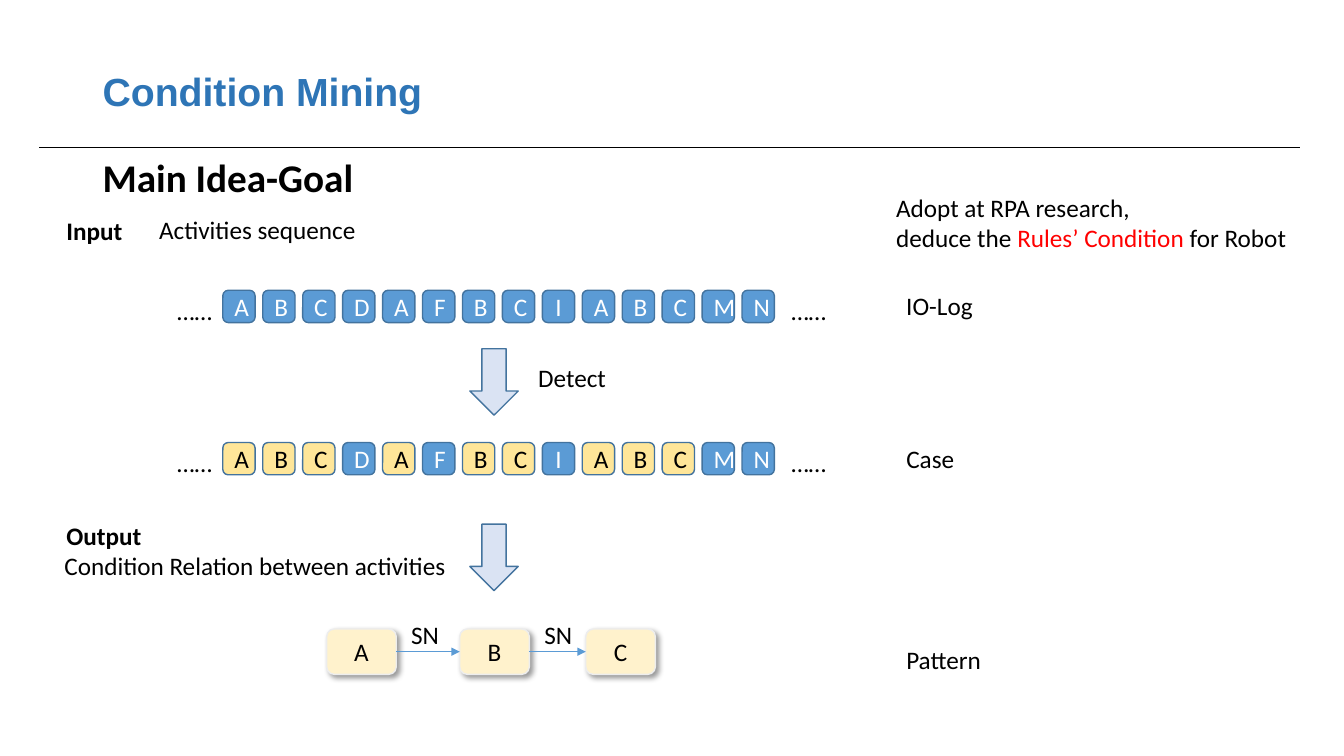
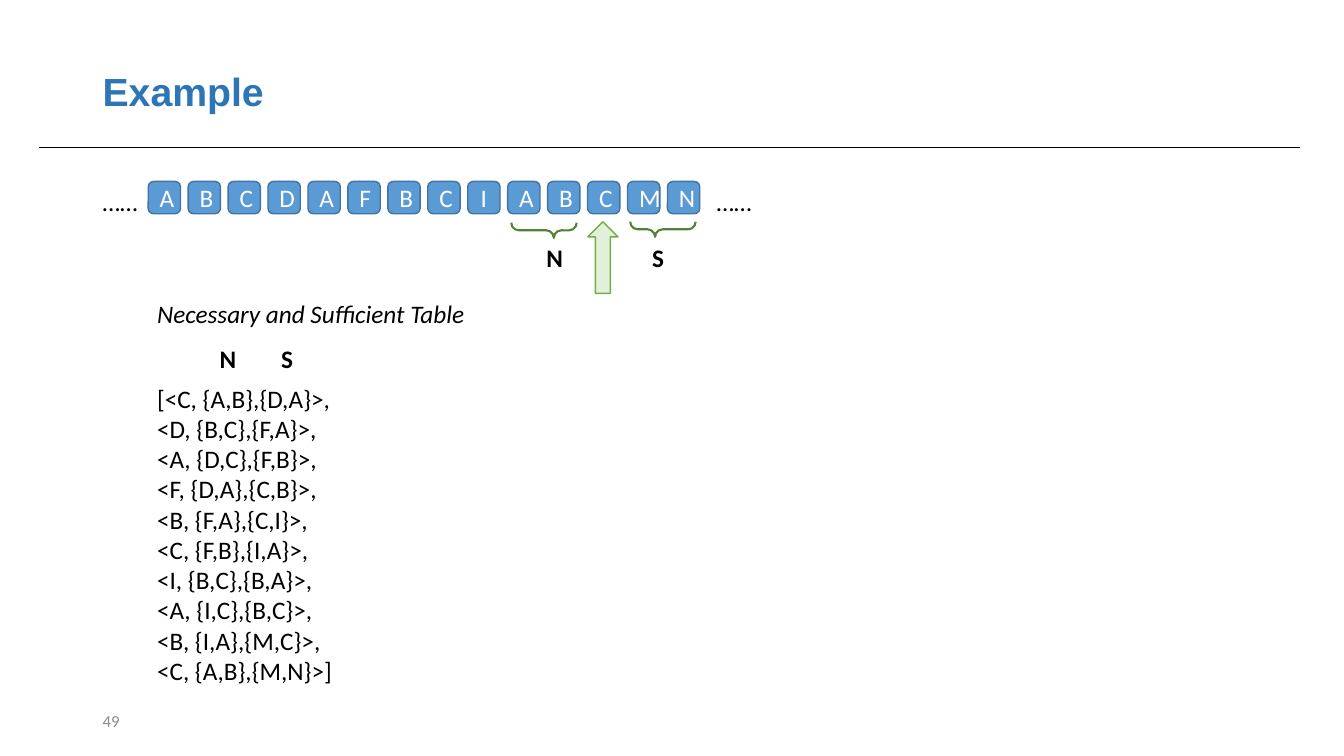
from dataclasses import dataclass

from lxml.etree import SubElement
from pptx import Presentation
from pptx.dml.color import RGBColor
from pptx.enum.shapes import MSO_CONNECTOR, MSO_SHAPE
from pptx.enum.text import MSO_ANCHOR, PP_ALIGN
from pptx.oxml.ns import qn
from pptx.util import Inches, Pt


@dataclass(frozen=True)
class Theme:
    title_font: str = "Arial"
    body_font: str = "Calibri"
    heading_size: int = 28
    body_size: int = 18
    footer_size: int = 12
    title: str = "2E75B6"
    text: str = "000000"
    white: str = "FFFFFF"
    muted: str = "8C8C8C"
    emphasis: str = "FF0000"
    tile: str = "5B9BD5"
    tile_found: str = "FFE699"
    outline: str = "43739E"
    step_arrow: str = "DAE3F3"
    node: str = "FFF2CC"
    node_outline: str = "EDEDED"
    pointer: str = "E2F0D9"
    pointer_outline: str = "70AD47"
    brace: str = "548235"


THEME = Theme()
SEQUENCE = "ABCDAFBCIABCMN"
TILE_SIZE = 0.32
TILE_PITCH = 5.15 / (len(SEQUENCE) - 1)
LINE_HEIGHT = 0.4
RELATIONS = [
    "[<C, {A,B},{D,A}>,",
    "<D, {B,C},{F,A}>,",
    "<A, {D,C},{F,B}>,",
    "<F, {D,A},{C,B}>,",
    "<B, {F,A},{C,I}>,",
    "<C, {F,B},{I,A}>,",
    "<I, {B,C},{B,A}>,",
    "<A, {I,C},{B,C}>,",
    "<B, {I,A},{M,C}>, <C, {A,B},{M,N}>]",
]


def rgb(value):
    return RGBColor.from_string(value)


def style_font(font, color=THEME.text, size=THEME.body_size, name=THEME.body_font,
               bold=False, italic=False):
    font.name = name
    font.size = Pt(size)
    font.bold = bold
    font.italic = italic
    font.color.rgb = rgb(color)


def add_text(slide, text, left, top, width, height=LINE_HEIGHT, wrap=True,
             anchor=MSO_ANCHOR.TOP, line_spacing=None, **font_style):
    box = slide.shapes.add_textbox(Inches(left), Inches(top), Inches(width), Inches(height))
    frame = box.text_frame
    frame.word_wrap = wrap
    frame.vertical_anchor = anchor
    frame.text = text
    for paragraph in frame.paragraphs:
        if line_spacing:
            paragraph.line_spacing = line_spacing
        for run in paragraph.runs:
            style_font(run.font, **font_style)
    return box


def add_shape(slide, kind, left, top, width, height, fill, outline, line_width=1):
    shape = slide.shapes.add_shape(kind, Inches(left), Inches(top),
                                   Inches(width), Inches(height))
    shape.shadow.inherit = False
    if fill:
        shape.fill.solid()
        shape.fill.fore_color.rgb = rgb(fill)
    else:
        shape.fill.background()
    shape.line.color.rgb = rgb(outline)
    shape.line.width = Pt(line_width)
    return shape


def label_shape(shape, text, color):
    shape.text_frame.text = text
    paragraph = shape.text_frame.paragraphs[0]
    paragraph.alignment = PP_ALIGN.CENTER
    style_font(paragraph.runs[0].font, color)


def add_line(slide, start, end, color):
    line = slide.shapes.add_connector(MSO_CONNECTOR.STRAIGHT,
                                      *(Inches(value) for value in start + end))
    line.line.color.rgb = rgb(color)
    line.line.width = Pt(0.5)
    SubElement(line._element.spPr, qn("a:effectLst"))
    return line


def add_drop_shadow(shape):
    effects = shape._element.spPr.find(qn("a:effectLst"))
    shadow = SubElement(effects, qn("a:outerShdw"), blurRad=str(Pt(4)), dist=str(Pt(3)),
                        dir=str(45 * 60000), algn="tl", rotWithShape="0")
    color = SubElement(shadow, qn("a:srgbClr"), val=THEME.text)
    SubElement(color, qn("a:alpha"), val="40000")


def add_titled_slide(presentation, title):
    slide = presentation.slides.add_slide(presentation.slide_layouts[6])
    add_line(slide, (0.39, 1.46), (12.89, 1.46), THEME.text)
    add_text(slide, title, 0.92, 0.4, 11.5, 1.06, anchor=MSO_ANCHOR.MIDDLE,
             line_spacing=0.9, color=THEME.title, size=THEME.heading_size,
             name=THEME.title_font, bold=True)
    return slide


def add_sequence(slide, left, top, found=""):
    """Draw the row of activities between ellipses; letters in found are highlighted."""
    for index, letter in enumerate(SEQUENCE):
        is_found = letter in found
        tile = add_shape(slide, MSO_SHAPE.ROUNDED_RECTANGLE, left + index * TILE_PITCH, top,
                         TILE_SIZE, TILE_SIZE,
                         THEME.tile_found if is_found else THEME.tile, THEME.outline)
        label_shape(tile, letter, THEME.text if is_found else THEME.white)
    for offset in (-0.55, 5.54):
        add_text(slide, "……", left + offset, top, 1.43)


def add_pattern(slide, left, top):
    """Draw the chain of nodes joined by SN arrows."""
    nodes = []
    for letter, offset in zip("ABC", (0, 1.32, 2.57)):
        node = add_shape(slide, MSO_SHAPE.ROUNDED_RECTANGLE, left + offset, top,
                         0.69, 0.45, THEME.node, THEME.node_outline)
        add_drop_shadow(node)
        label_shape(node, letter, THEME.text)
        nodes.append(node)
    for source, target in zip(nodes, nodes[1:]):
        arrow = add_line(slide, (left, top), (left, top), THEME.tile)
        arrow.begin_connect(source, 3)
        arrow.end_connect(target, 1)
        SubElement(arrow.line._get_or_add_ln(), qn("a:tailEnd"), type="triangle")
        label_left = (source.left + source.width) / Inches(1) + 0.05
        add_text(slide, "SN", label_left, top - 0.15, 0.62)


def add_research_note(slide, left, top):
    box = add_text(slide, "Adopt at RPA research,", left, top, 4.14, 0.71, wrap=False)
    paragraph = box.text_frame.add_paragraph()
    for text, color in (("deduce the ", THEME.text), ("Rules’ Condition ", THEME.emphasis),
                        ("for Robot", THEME.text)):
        run = paragraph.add_run()
        run.text = text
        style_font(run.font, color)


def add_window_brace(slide, label, left, top, label_offset, point):
    """Draw a brace opening upwards over a 0.65 by 0.15 box, with its label below."""
    length, depth = 0.65, 0.15
    shift = (length - depth) / 2
    brace = add_shape(slide, MSO_SHAPE.RIGHT_BRACE, left + shift, top - shift,
                      depth, length, None, THEME.brace, 1.5)
    brace.rotation = 90
    brace.adjustments[0] = 0.5
    brace.adjustments[1] = point
    add_text(slide, label, left + label_offset, top + 0.15, 0.33, bold=True)


def add_windows(slide, left, top):
    """Mark the windows before and after the activity pointed at, below a sequence."""
    add_shape(slide, MSO_SHAPE.UP_ARROW, left + 4.36, top + 0.4, 0.3, 0.71,
              THEME.pointer, THEME.pointer_outline)
    add_window_brace(slide, "N", left + 3.6, top + 0.41, 0.25, 0.35)
    add_window_brace(slide, "S", left + 4.78, top + 0.4, 0.12, 0.62)


def add_relation_list(slide, left, top):
    add_text(slide, "Necessary and Sufficient Table", left, top, 3.44, italic=True)
    for label, offset in (("N", 0.62), ("S", 1.23)):
        add_text(slide, label, left + offset, top + 0.45, 0.43, bold=True)
    add_text(slide, "\n".join(RELATIONS), left, top + 0.84, 2.15, 3.13)


def build_condition_mining(presentation):
    slide = add_titled_slide(presentation, "Condition Mining")
    add_text(slide, "Main Idea-Goal", 0.92, 1.52, 11.5, 0.52, line_spacing=0.9,
             size=THEME.heading_size, bold=True)
    add_text(slide, "Input", 0.56, 2.09, 0.98, bold=True)
    add_text(slide, "Activities sequence", 1.48, 2.08, 3.84)
    add_research_note(slide, 8.79, 1.86)

    add_sequence(slide, 2.21, 2.88)
    add_sequence(slide, 2.21, 4.39, found="ABC")
    for top in (3.46, 5.2):
        add_shape(slide, MSO_SHAPE.DOWN_ARROW, 4.66, top, 0.48, 0.66,
                  THEME.step_arrow, THEME.outline)
    add_text(slide, "Detect", 5.24, 3.55, 1.46)

    add_text(slide, "Output", 0.56, 5.11, 0.98, bold=True)
    add_text(slide, "Condition Relation between activities", 0.54, 5.41, 4.02)
    add_pattern(slide, 3.24, 6.24)
    for stage, top, width in (("IO-Log", 2.83, 0.87), ("Case", 4.35, 0.68),
                              ("Pattern", 6.34, 0.95)):
        add_text(slide, stage, 8.89, top, width, wrap=False)


def build_example(presentation):
    slide = add_titled_slide(presentation, "Example")
    add_sequence(slide, 1.47, 1.8)
    add_windows(slide, 1.47, 1.8)
    add_relation_list(slide, 1.46, 2.91)
    add_text(slide, "49", 0.92, 6.95, 3, anchor=MSO_ANCHOR.MIDDLE,
             color=THEME.muted, size=THEME.footer_size)


def main():
    presentation = Presentation()
    presentation.slide_width = Inches(13.33)
    presentation.slide_height = Inches(7.5)
    build_condition_mining(presentation)
    build_example(presentation)
    presentation.save("out.pptx")


if __name__ == "__main__":
    main()
